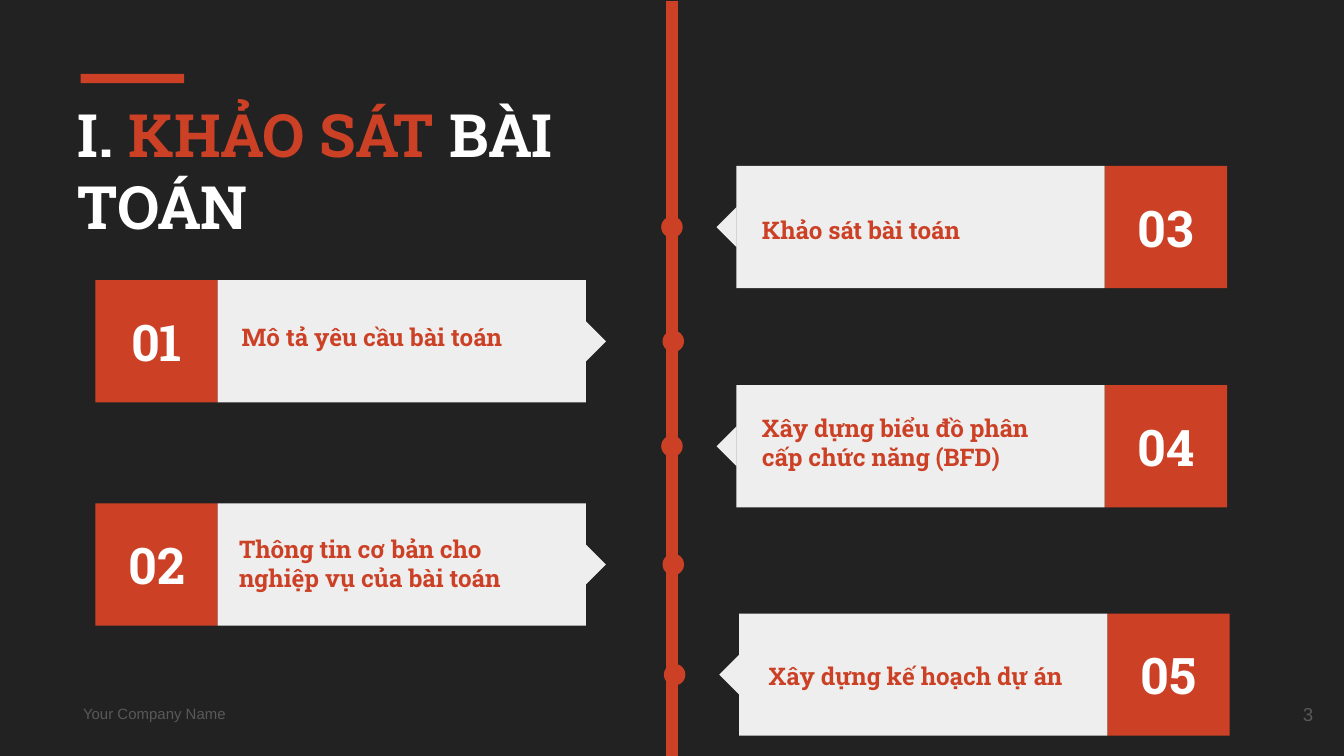
from pptx import Presentation
from pptx.dml.color import RGBColor
from pptx.enum.shapes import MSO_CONNECTOR, MSO_SHAPE
from pptx.enum.text import MSO_ANCHOR, MSO_AUTO_SIZE, PP_ALIGN
from pptx.util import Inches, Pt
from lxml import etree

RECTANGLE, OVAL, TRIANGLE = MSO_SHAPE.RECTANGLE, MSO_SHAPE.OVAL, MSO_SHAPE.RIGHT_TRIANGLE
LEFT, CENTER, RIGHT = PP_ALIGN.LEFT, PP_ALIGN.CENTER, PP_ALIGN.RIGHT
TOP, MIDDLE = MSO_ANCHOR.TOP, MSO_ANCHOR.MIDDLE
STRAIGHT, NO_FIT = MSO_CONNECTOR.STRAIGHT, MSO_AUTO_SIZE.NONE
RED, WHITE, PALE, GRAY, DARK = "CC4125", "FFFFFF", "EEEEEE", "595959", "222222"
SLAB = "Roboto Slab"
DRAWING = "http://schemas.openxmlformats.org/drawingml/2006/main"

# Widescreen page, 16 to 9
deck = Presentation()
deck.slide_width = Inches(10)
deck.slide_height = Inches(10 * 9 / 16)
page = deck.slides.add_slide(deck.slide_layouts[5])


def paint(color_format, color):
    color_format.rgb = RGBColor.from_string(color)


def write(shape, runs, size=13, font=SLAB, bold=True, align=LEFT, anchor=MIDDLE):
    """Fill a shape with one paragraph made of (text, color) runs."""
    frame = shape.text_frame
    frame.word_wrap = True
    frame.auto_size = NO_FIT
    frame.vertical_anchor = anchor
    frame.margin_left = frame.margin_right = Inches(0.1)
    frame.margin_top = frame.margin_bottom = Inches(0.1)
    para = frame.paragraphs[0]
    para.alignment = align
    for text, color in runs:
        span = para.add_run()
        span.text = text
        span.font.name, span.font.size, span.font.bold = font, Pt(size), bold
        paint(span.font.color, color)


def add_block(kind, left, top, width, height, color, rotation=0):
    block = page.shapes.add_shape(kind, Inches(left), Inches(top), Inches(width), Inches(height))
    block.fill.solid()
    paint(block.fill.fore_color, color)
    block.line.fill.background()
    block.shadow.inherit = False
    block.rotation = rotation
    return block


# Background and accent bar
page.background.fill.solid()
paint(page.background.fill.fore_color, DARK)
add_block(RECTANGLE, 0.6, 0.55, 0.77, 0.07, RED)

# Title
title = page.shapes.title
title.left, title.top, title.width, title.height = map(Inches, (0.48, 0.63, 4.51, 1.16))
write(title, [("I. ", WHITE), ("KHẢO SÁT ", RED), ("BÀI TOÁN", WHITE)], size=32, anchor=TOP)

# Footer and page number
for text, bounds, size, align in [
    ("Your Company Name", (0.52, 5.18, 1.67, 0.26), 8, LEFT),
    ("3", (9.27, 5.1, 0.6, 0.43), 10, RIGHT),
]:
    box = page.shapes.add_textbox(*map(Inches, bounds))
    write(box, [(text, GRAY)], size=size, font="Arial", bold=False, align=align)

# Timeline
timeline = page.shapes.add_connector(
    STRAIGHT, Inches(5), Inches(0.01), Inches(5), Inches(5.63))
paint(timeline.line.color, RED)
timeline.line.width = Pt(6)
etree.SubElement(timeline._element.spPr, f"{{{DRAWING}}}effectLst")

# Cards: number, text, side, card left, card middle, dot left, label left, label middle
NUMBER_SIZE, PANEL_WIDTH, POINTER, DOT = 0.91, 2.74, 0.21, 0.16
cards = [
    ("01", "Mô tả yêu cầu bài toán", "left", 0.71, 2.54, 4.93, 1.7, 2.51),
    ("02", "Thông tin cơ bản cho nghiệp vụ của bài toán", "left", 0.71, 4.2, 4.93, 1.68, 4.19),
    ("03", "Khảo sát bài toán", "right", 5.48, 1.69, 4.92, 5.57, 1.71),
    ("04", "Xây dựng biểu đồ phân cấp chức năng (BFD)", "right", 5.48, 3.32, 4.92, 5.57, 3.29),
    ("05", "Xây dựng kế hoạch dự án", "right", 5.5, 5.02, 4.94, 5.62, 5.03),
]
for number, text, side, left, middle, dot_left, label_left, label_middle in cards:
    if side == "left":
        number_left, panel_left = left, left + NUMBER_SIZE
        pointer_middle, rotation = panel_left + PANEL_WIDTH, 225
    else:
        number_left, panel_left = left + PANEL_WIDTH, left
        pointer_middle, rotation = panel_left, 45
    top = middle - NUMBER_SIZE / 2

    add_block(OVAL, dot_left, middle - DOT / 2, DOT, DOT, RED)
    tile = add_block(RECTANGLE, number_left, top, NUMBER_SIZE, NUMBER_SIZE, RED)
    write(tile, [(number, WHITE)], size=27, align=CENTER)
    add_block(RECTANGLE, panel_left, top, PANEL_WIDTH, NUMBER_SIZE, PALE)
    add_block(TRIANGLE, pointer_middle - POINTER / 2, middle - POINTER / 2,
              POINTER, POINTER, PALE, rotation)
    label = page.shapes.add_textbox(
        Inches(label_left), Inches(label_middle - 0.08), Inches(2.51), Inches(0.16))
    write(label, [(text, RED)])

deck.save("out.pptx")
